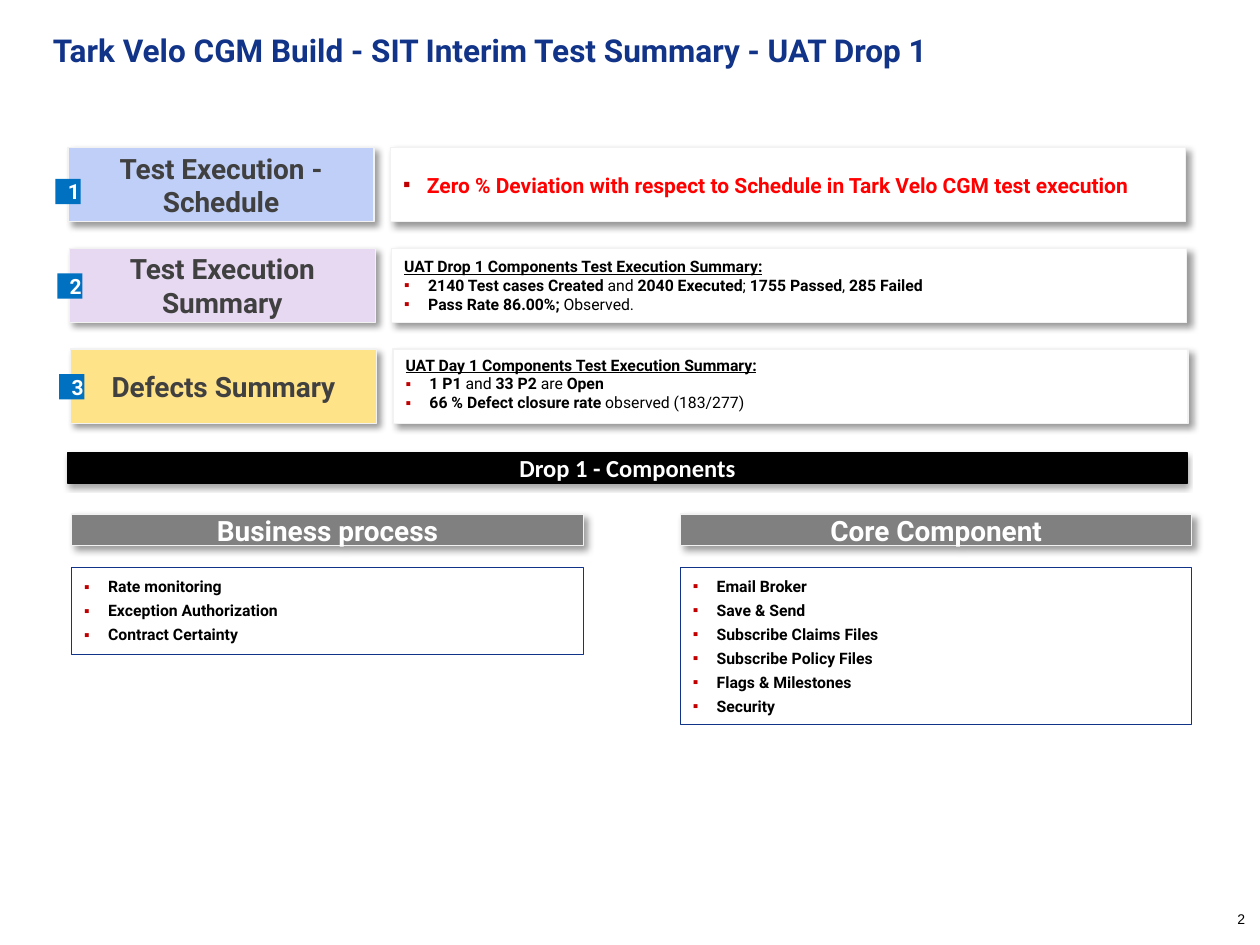
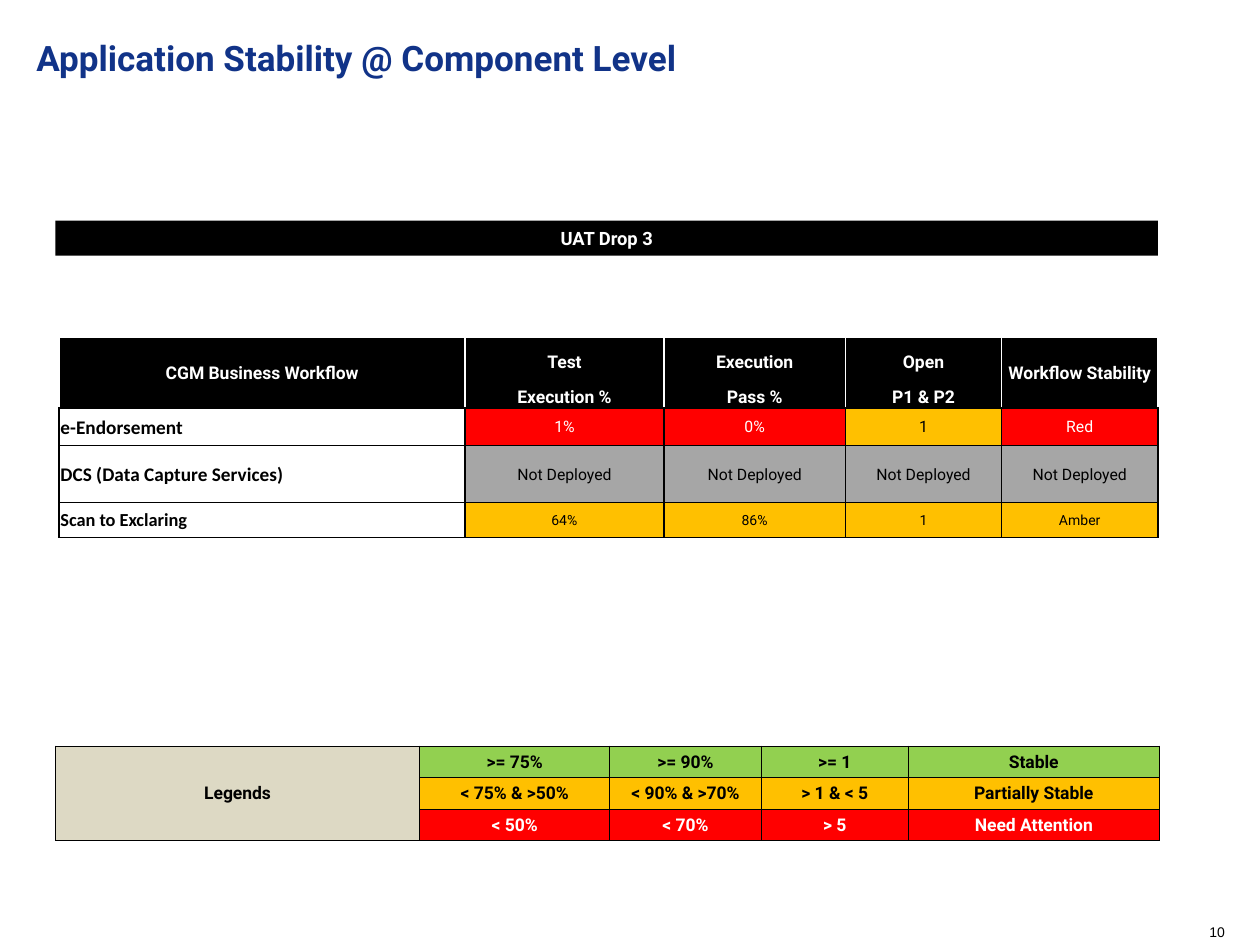
from dataclasses import dataclass

from lxml import etree
from pptx import Presentation
from pptx.dml.color import RGBColor
from pptx.enum.shapes import MSO_SHAPE
from pptx.enum.text import MSO_ANCHOR, PP_ALIGN
from pptx.oxml.ns import qn
from pptx.util import Inches, Pt

RECTANGLE = MSO_SHAPE.RECTANGLE
TOP, MIDDLE = MSO_ANCHOR.TOP, MSO_ANCHOR.MIDDLE
LEFT, CENTER = PP_ALIGN.LEFT, PP_ALIGN.CENTER


@dataclass(frozen=True)
class Theme:
    font: str = "Roboto"
    bar_font: str = "Calibri"
    number_font: str = "Arial"
    navy: str = "113388"
    black: str = "000000"
    white: str = "FFFFFF"
    edge: str = "F2F2F2"
    label_text: str = "404040"
    badge: str = "0070C0"
    heading: str = "808080"
    bullet: str = "C00000"
    red: str = "FF0000"
    amber: str = "FFC000"
    green: str = "92D050"
    grey: str = "A6A6A6"
    legend: str = "DDD9C4"
    heading_size: float = 16
    bar_size: float = 14
    badge_size: float = 12
    table_size: float = 10
    body_size: float = 9
    number_size: float = 8


THEME = Theme()
# opacity %, blur pt, distance pt, direction degrees
CARD_SHADOW = (40, 4, 3, 45)
BAR_SHADOW = (35, 3.1, 1.8, 90)

SUMMARY_TITLE = "Tark Velo CGM Build - SIT Interim Test Summary - UAT Drop 1"
STABILITY_TITLE = "Application Stability @ Component Level"

# In panel lines, the parts of a list alternate bold and regular.
SUMMARY_ROWS = [
    dict(label="Test Execution - Schedule", fill="C0CFF7", badge_drop=0.25,
         size=12, color=THEME.red, anchor=MIDDLE, heading=None,
         lines=[["Zero % Deviation with respect to Schedule in Tark Velo CGM test execution"]]),
    dict(label="Test Execution Summary", fill="E8D9F3", badge_drop=0.2,
         size=THEME.body_size, color=THEME.black, anchor=MIDDLE,
         heading="UAT Drop 1 Components Test Execution Summary:",
         lines=[["2140 Test cases Created", " and ", "2040 Executed", "; ",
                 "1755 Passed", ", ", "285 Failed"],
                ["Pass Rate 86.00%; ", "Observed."]]),
    dict(label="Defects Summary", fill="FFE389", badge_drop=0.2,
         size=THEME.body_size, color=THEME.black, anchor=TOP,
         heading="UAT Day 1 Components Test Execution Summary:",
         lines=[["1 P1 ", "and ", "33 P2 ", "are ", "Open"],
                ["66 % Defect closure rate ", "observed (183/277)"]]),
]
COMPONENTS = {
    "Business process": ["Rate monitoring", "Exception Authorization", "Contract Certainty"],
    "Core Component": ["Email Broker", "Save & Send", "Subscribe Claims Files",
                       "Subscribe Policy Files", "Flags & Milestones", "Security"],
}

WORKFLOW_COLUMNS = [3.22, 1.58, 1.44, 1.24, 1.24]
WORKFLOW_HEADER = [
    ["CGM Business Workflow", "Test", "Execution", "Open", "Workflow Stability"],
    ["", "Execution %", "Pass %", "P1 & P2", ""],
]
WORKFLOW_HEADER_HEIGHTS = [0.38, 0.16]
# name, name size, value size, row height, (value, fill) pairs
WORKFLOWS = [
    ("e-Endorsement", 11, 9, 0.3,
     [("1%", THEME.red), ("0%", THEME.red), ("1", THEME.amber), ("Red", THEME.red)]),
    ("DCS (Data Capture Services)", 11, 9, 0.45, [("Not Deployed", THEME.grey)] * 4),
    ("Scan to Exclaring", 10.5, 8, 0.28,
     [(value, THEME.amber) for value in ("64%", "86%", "1", "Amber")]),
]

LEGEND_COLUMNS = [2.89, 1.51, 1.2, 1.17, 1.99]
LEGEND = [
    (THEME.green, [">= 75%", ">= 90%", ">= 1", "Stable"]),
    (THEME.amber, ["< 75% & >50%", "< 90% & >70%", "> 1 & < 5", "Partially Stable"]),
    (THEME.red, ["< 50%", "< 70%", "> 5", "Need Attention"]),
]


def rgb(color):
    return RGBColor.from_string(color)


def add_xml(parent, tag, **attributes):
    return etree.SubElement(parent, qn(tag), {key: str(value) for key, value in attributes.items()})


def set_font(paragraph, size, color, bold=True, name=THEME.font):
    font = paragraph.font
    font.name, font.size, font.bold = name, Pt(size), bold
    font.color.rgb = rgb(color)


def text_on(fill):
    return THEME.white if fill in (THEME.red, THEME.black) else THEME.black


def add_shadow(shape, opacity, blur, distance, direction):
    effects = shape._element.spPr.find(qn("a:effectLst"))
    outer = add_xml(effects, "a:outerShdw", blurRad=Pt(blur), dist=Pt(distance),
                    dir=direction * 60000, algn="tl", rotWithShape=0)
    color = add_xml(outer, "a:srgbClr", val=THEME.black)
    add_xml(color, "a:alpha", val=opacity * 1000)


def add_box(slide, place, fill, line=None, line_width=0.75, shadow=None, anchor=MIDDLE):
    shape = slide.shapes.add_shape(RECTANGLE, *map(Inches, place))
    shape.fill.solid()
    shape.fill.fore_color.rgb = rgb(fill)
    if line:
        shape.line.color.rgb = rgb(line)
        shape.line.width = Pt(line_width)
    else:
        shape.line.fill.background()
    shape.shadow.inherit = False
    if shadow:
        add_shadow(shape, *shadow)
    shape.text_frame.word_wrap = True
    shape.text_frame.vertical_anchor = anchor
    return shape


def add_caption(slide, place, text, size, color, fill, font=THEME.font, **box):
    """Add a box with one centred bold line."""
    paragraph = add_box(slide, place, fill, **box).text_frame.paragraphs[0]
    paragraph.text = text
    paragraph.alignment = CENTER
    set_font(paragraph, size, color, name=font)


def add_text(slide, place, text, size, color, bold=True, font=THEME.font, inset=True):
    frame = slide.shapes.add_textbox(*map(Inches, place)).text_frame
    frame.word_wrap = True
    if not inset:
        frame.margin_left = frame.margin_right = frame.margin_top = frame.margin_bottom = 0
    frame.paragraphs[0].text = text
    set_font(frame.paragraphs[0], size, color, bold, font)


def add_page_number(slide, place, number):
    add_text(slide, place, number, THEME.number_size, THEME.black, False, THEME.number_font)


def make_bullet(paragraph):
    properties = paragraph._p.get_or_add_pPr()
    properties.set("marL", str(Inches(0.19)))
    properties.set("indent", str(-Inches(0.19)))
    add_xml(add_xml(properties, "a:buClr"), "a:srgbClr", val=THEME.bullet)
    add_xml(properties, "a:buFont", typeface="Arial")
    add_xml(properties, "a:buChar", char="▪")


def fill_lines(frame, lines, size, color, heading=None, gap=0):
    """Write bulleted lines, each a list of alternating bold and regular parts."""
    content = ([[heading]] if heading else []) + lines
    for index, parts in enumerate(content):
        paragraph = frame.paragraphs[0] if index == 0 else frame.add_paragraph()
        paragraph.alignment = LEFT
        paragraph.space_after = Pt(gap)
        is_heading = bool(heading) and index == 0
        if not is_heading:
            make_bullet(paragraph)
        set_font(paragraph, size, color)
        for position, part in enumerate(parts):
            run = paragraph.add_run()
            run.text = part
            if position % 2:
                run.font.bold = False
            if is_heading:
                run.font.underline = True


def set_borders(cell, width, colors):
    """Draw the left, right, top and bottom borders; None leaves a side out."""
    properties = cell._tc.get_or_add_tcPr()
    for side, color in zip("LRTB", colors):
        if color:
            line = add_xml(properties, f"a:ln{side}", w=Pt(width))
            add_xml(add_xml(line, "a:solidFill"), "a:srgbClr", val=color)
        else:
            add_xml(add_xml(properties, f"a:ln{side}", w=0), "a:noFill")


def fill_cell(cell, text, fill, size, border_width, borders=(THEME.black,) * 4,
              bold=True, alignment=CENTER, font=THEME.font):
    set_borders(cell, border_width, borders)
    if fill:
        cell.fill.solid()
        cell.fill.fore_color.rgb = rgb(fill)
    else:
        cell.fill.background()
    cell.margin_left = cell.margin_right = cell.margin_top = Inches(0.01)
    cell.margin_bottom = 0
    cell.vertical_anchor = MIDDLE
    paragraph = cell.text_frame.paragraphs[0]
    if text:
        paragraph.text = text
    paragraph.alignment = alignment
    set_font(paragraph, size, text_on(fill), bold, font)


def add_grid(slide, left, top, columns, rows):
    frame = slide.shapes.add_table(len(rows), len(columns), Inches(left), Inches(top),
                                   Inches(sum(columns)), Inches(sum(rows)))
    table = frame.table
    table.first_row = table.horz_banding = False
    for column, width in zip(table.columns, columns):
        column.width = Inches(width)
    for row, height in zip(table.rows, rows):
        row.height = Inches(height)
    return table


def add_workflow_table(slide):
    heights = WORKFLOW_HEADER_HEIGHTS + [workflow[3] for workflow in WORKFLOWS]
    table = add_grid(slide, 0.47, 2.68, WORKFLOW_COLUMNS, heights)
    for row, texts in enumerate(WORKFLOW_HEADER):
        edges = (None, THEME.black) if row else (THEME.white, None)
        for column, text in enumerate(texts):
            fill_cell(table.cell(row, column), text, THEME.black, THEME.table_size, 1,
                      (THEME.white, THEME.white) + edges)
    for column in (0, len(WORKFLOW_COLUMNS) - 1):
        table.cell(0, column).merge(table.cell(1, column))
    for row, (name, name_size, size, _, values) in enumerate(WORKFLOWS, len(WORKFLOW_HEADER)):
        fill_cell(table.cell(row, 0), name, None, name_size, 1, alignment=LEFT,
                  font=THEME.bar_font)
        for column, (value, fill) in enumerate(values, 1):
            fill_cell(table.cell(row, column), value, fill, size, 1, bold=False)


def add_legend_table(slide):
    table = add_grid(slide, 0.44, 5.92, LEGEND_COLUMNS, [0.25] * len(LEGEND))
    for row, (fill, texts) in enumerate(LEGEND):
        fill_cell(table.cell(row, 0), "" if row else "Legends", THEME.legend,
                  THEME.table_size, 0.5)
        for column, text in enumerate(texts, 1):
            fill_cell(table.cell(row, column), text, fill, THEME.table_size, 0.5)
    table.cell(0, 0).merge(table.cell(len(LEGEND) - 1, 0))


def build_summary(slide):
    card = dict(line=THEME.edge, shadow=CARD_SHADOW)
    for index, row in enumerate(SUMMARY_ROWS):
        top, shift = 1.17 + 0.8 * index, 0.01 * index
        add_caption(slide, (0.54 + shift, top, 2.43, 0.59), row["label"],
                    THEME.heading_size, THEME.label_text, row["fill"], **card)
        panel = add_box(slide, (3.1 + shift, top, 6.31, 0.59), THEME.white,
                        anchor=row["anchor"], **card)
        fill_lines(panel.text_frame, row["lines"], row["size"], row["color"], row["heading"])
        add_caption(slide, (0.44 + 1.5 * shift, top + row["badge_drop"], 0.2, 0.2),
                    str(index + 1), THEME.badge_size, THEME.white, THEME.badge)
    add_text(slide, (0.42, 0.25, 8.67, 0.5), SUMMARY_TITLE, 18, THEME.navy, inset=False)
    add_page_number(slide, (9.75, 7.18, 0.17, 0.24), "2")
    add_caption(slide, (0.54, 3.59, 8.88, 0.25), "Drop 1 - Components", THEME.bar_size,
                THEME.white, THEME.black, THEME.bar_font, line=THEME.black, shadow=BAR_SHADOW)
    for index, (heading, items) in enumerate(COMPONENTS.items()):
        left = 0.57 + 4.83 * index
        add_caption(slide, (left, 4.08, 4.06, 0.25), heading, THEME.heading_size,
                    THEME.white, THEME.heading, **card)
        height = 0.13 + 0.187 * len(items)
        box = add_box(slide, (left, 4.5, 4.06, height), THEME.white, THEME.navy, 0.5)
        fill_lines(box.text_frame, [[item] for item in items], THEME.body_size,
                   THEME.black, gap=2.9)


def build_stability(slide):
    add_text(slide, (0.19, 0.24, 8.23, 0.8), STABILITY_TITLE, 20, THEME.navy)
    add_legend_table(slide)
    add_page_number(slide, (9.5, 7.28, 0.44, 0.24), "10")
    add_caption(slide, (0.44, 1.75, 8.75, 0.28), "UAT Drop 3", 10.5, THEME.white, THEME.black)
    add_workflow_table(slide)


def main():
    presentation = Presentation()
    presentation.slide_width, presentation.slide_height = Inches(10), Inches(7.5)
    for build in (build_summary, build_stability):
        build(presentation.slides.add_slide(presentation.slide_layouts[6]))
    presentation.save("out.pptx")


if __name__ == "__main__":
    main()
